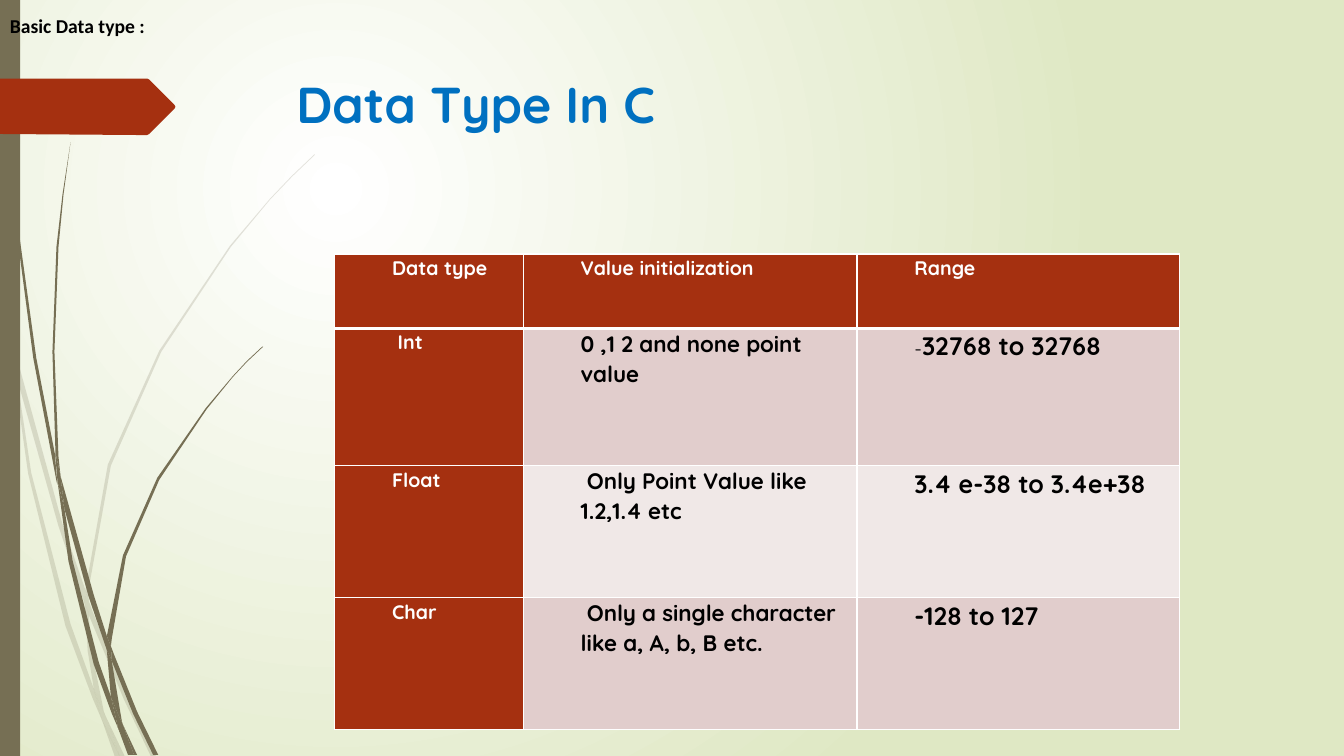
from lxml.etree import SubElement
from pptx import Presentation
from pptx.dml.color import RGBColor
from pptx.enum.shapes import MSO_SHAPE
from pptx.enum.text import MSO_ANCHOR, MSO_AUTO_SIZE, PP_ALIGN
from pptx.oxml.ns import qn
from pptx.util import Pt

RECT = MSO_SHAPE.RECTANGLE
TOP, MIDDLE = MSO_ANCHOR.TOP, MSO_ANCHOR.MIDDLE
LEFT = PP_ALIGN.LEFT
NO_FIT = MSO_AUTO_SIZE.NONE
EMU_PER_PX = 9144

OLIVE, RUST, WHITE, BLACK, BLUE = "766F54", "A53010", "FFFFFF", "000000", "0070C0"
ROSE, PALE_ROSE = "E1CDCC", "F0E8E7"
BODY_FONT = "Quicksand"

# Corner points of each blade section, in px.
FAINT_GRASS = [
    "11,350 9,322 0,282 0,299 10,344",
    "58,522 84,599 85,586 62,520 14,345 17,376",
    "92,607 88,596 88,610 123,694 150,751 155,751 127,692",
    "119,751 124,751 105,711",
    "93,683 70,619 31,469 17,376 11,350 28,470 65,621 92,693 101,714 99,707",
    "84,599 87,646 93,683 96,692 105,711 103,706 91,646 88,610 88,608",
    "88,584 110,462 160,349 229,245 268,198 290,175 312,154 312,153 289,175 268,197"
    " 228,244 158,348 107,461 85,584 85,586 88,596",
    "101,714 114,751 119,751",
    "88,608 88,610 88,596 85,586 84,599",
    "96,692 93,683 99,707 101,714 119,751 105,711",
]
STRONG_GRASS = [
    "7,110 17,233 33,355 56,477 57,481 55,457 55,453 36,355 19,232 8,109 5,48 4,0 3,0 4,48",
    "88,592 106,645 106,633 106,631 93,590 60,472 64,505",
    "113,649 110,641 111,656 132,708 152,749 157,749 136,706",
    "110,691 98,657 72,556 64,505 57,477 68,557 93,659 111,708 117,722 116,717",
    "60,472 58,453 54,349 58,245 63,193 70,141 62,193 56,245 52,349 55,449",
    "133,749 136,749 122,719",
    "57,477 64,505 60,472 55,449 55,453",
    "111,633 125,552 158,476 205,406 231,374 245,359 261,344 260,344 245,358 231,373"
    " 204,405 156,474 122,551 106,631 110,641",
    "117,722 127,749 131,749",
    "106,645 110,691 116,706 122,719 121,716 111,656 109,651",
    "106,645 109,651 111,656 110,641 106,631 106,633",
    "116,706 110,691 116,717 117,722 130,749 133,749 122,719",
]
RIBBON = "0,78 146,78 148,79 173,104 174,106 173,108 148,133 146,134 136,134 0,133"

COLUMNS, ROWS = [187, 331, 320], [74, 136, 131, 131]
HEADINGS = ["Data type", "Value initialization", "Range"]
DATA_TYPES = [
    (" Int", "0 ,1 2 and none point value", "-32768 to 32768"),
    ("Float", " Only Point Value like 1.2,1.4 etc", "3.4 e-38 to 3.4e+38"),
    ("Char", " Only a single character like a, A, b, B etc.", "-128 to 127"),
]
COLUMN_STYLES = [(14, WHITE), (16, BLACK), (18, BLACK)]


def px(n):
    return round(n * EMU_PER_PX)


def rgb(value):
    return RGBColor.from_string(value)


def format_run(r, size, color, font=BODY_FONT, bold=True):
    r.font.name, r.font.size, r.font.bold = font, Pt(size), bold
    r.font.color.rgb = rgb(color)


def paint(sp, color, opacity=100):
    sp.shadow.inherit = False
    sp.fill.solid()
    sp.fill.fore_color.rgb = rgb(color)
    sp.line.fill.background()
    if opacity < 100:
        clr = sp.element.spPr.find(qn("a:solidFill"))[0]
        SubElement(clr, qn("a:alpha"), val=str(opacity * 1000))


def set_background(s):
    """Radial gradient, white near the upper left."""
    fill = s.background.fill
    fill.gradient()
    for stop, color in zip(fill.gradient_stops, (WHITE, "DFE8C4")):
        stop.color.rgb = rgb(color)
    grad = s.element.find(".//" + qn("a:gradFill"))
    grad.remove(grad.find(qn("a:lin")))
    circle = SubElement(grad, qn("a:path"), path="circle")
    SubElement(circle, qn("a:fillToRect"), l="50000", t="50000", r="100000", b="100000")


def add_polygon(s, outline, color, opacity=100):
    pts = [tuple(px(int(n)) for n in pair.split(",")) for pair in outline.split()]
    builder = s.shapes.build_freeform(*pts[0])
    builder.add_line_segments(pts[1:], close=True)
    paint(builder.convert_to_shape(), color, opacity)


def add_title(s, text):
    sp = s.shapes.title
    sp.left, sp.top, sp.width, sp.height = px(284), px(68), px(975), px(140)
    tf = sp.text_frame
    tf.text = text
    tf.auto_size, tf.vertical_anchor = NO_FIT, TOP
    p = tf.paragraphs[0]
    p.alignment = LEFT
    format_run(p.runs[0], 36, BLUE)
    sp.element.getparent().append(sp.element)


def add_caption(s, text):
    tf = s.shapes.add_textbox(0, 0, px(1333), px(50)).text_frame
    tf.text = text
    tf.word_wrap, tf.vertical_anchor = True, MIDDLE
    format_run(tf.paragraphs[0].runs[0], 14, BLACK, "Calibri")


def set_borders(cell, top, bottom):
    tc_pr = cell._tc.get_or_add_tcPr()
    for i, (side, width) in enumerate((("L", 1), ("R", 1), ("T", top), ("B", bottom))):
        ln = SubElement(tc_pr, qn("a:ln" + side), w=str(Pt(width)))
        SubElement(SubElement(ln, qn("a:solidFill")), qn("a:srgbClr"), val=WHITE)
        tc_pr.insert(i, ln)


def fill_cell(cell, text, size, color, fill):
    cell.fill.solid()
    cell.fill.fore_color.rgb = rgb(fill)
    cell.margin_left = cell.margin_right = px(7)
    cell.margin_top = cell.margin_bottom = 0
    p = cell.text_frame.paragraphs[0]
    p.text = text
    p.line_spacing = 1.07
    p._p.get_or_add_pPr().set("marL", str(px(50)))
    format_run(p.runs[0], size, color)


def add_type_table(s):
    table = s.shapes.add_table(len(ROWS), len(COLUMNS), px(332), px(252),
                               px(sum(COLUMNS)), px(sum(ROWS))).table
    table.first_row = table.horz_banding = False
    for column, width in zip(table.columns, COLUMNS):
        column.width = px(width)
    for i, texts in enumerate([HEADINGS] + DATA_TYPES):
        table.rows[i].height = px(ROWS[i])
        for j, text in enumerate(texts):
            size, color = COLUMN_STYLES[j] if i else (14, WHITE)
            fill = RUST if i == 0 or j == 0 else (ROSE if i % 2 else PALE_ROSE)
            fill_cell(table.cell(i, j), text, size, color, fill)
            set_borders(table.cell(i, j), 3 if i == 1 else 1, 3 if i == 0 else 1)
    p = table.cell(1, 2).text_frame.paragraphs[0]
    sign, number = p.runs[0], p.add_run()
    sign.text, number.text = "-", sign.text[1:]
    format_run(sign, 14, BLACK, bold=False)
    format_run(number, 18, BLACK)


def main():
    prs = Presentation()
    prs.slide_width, prs.slide_height = px(1333), px(750)
    s = prs.slides.add_slide(prs.slide_layouts[5])
    set_background(s)
    for grass, opacity in ((FAINT_GRASS, 20), (STRONG_GRASS, 100)):
        for outline in grass:
            add_polygon(s, outline, OLIVE, opacity)
    paint(s.shapes.add_shape(RECT, 0, 0, px(20), px(750)), OLIVE)
    add_polygon(s, RIBBON, RUST)
    add_title(s, "Data Type In C")
    add_type_table(s)
    add_caption(s, "Basic Data type :")
    prs.save("out.pptx")


if __name__ == "__main__":
    main()
